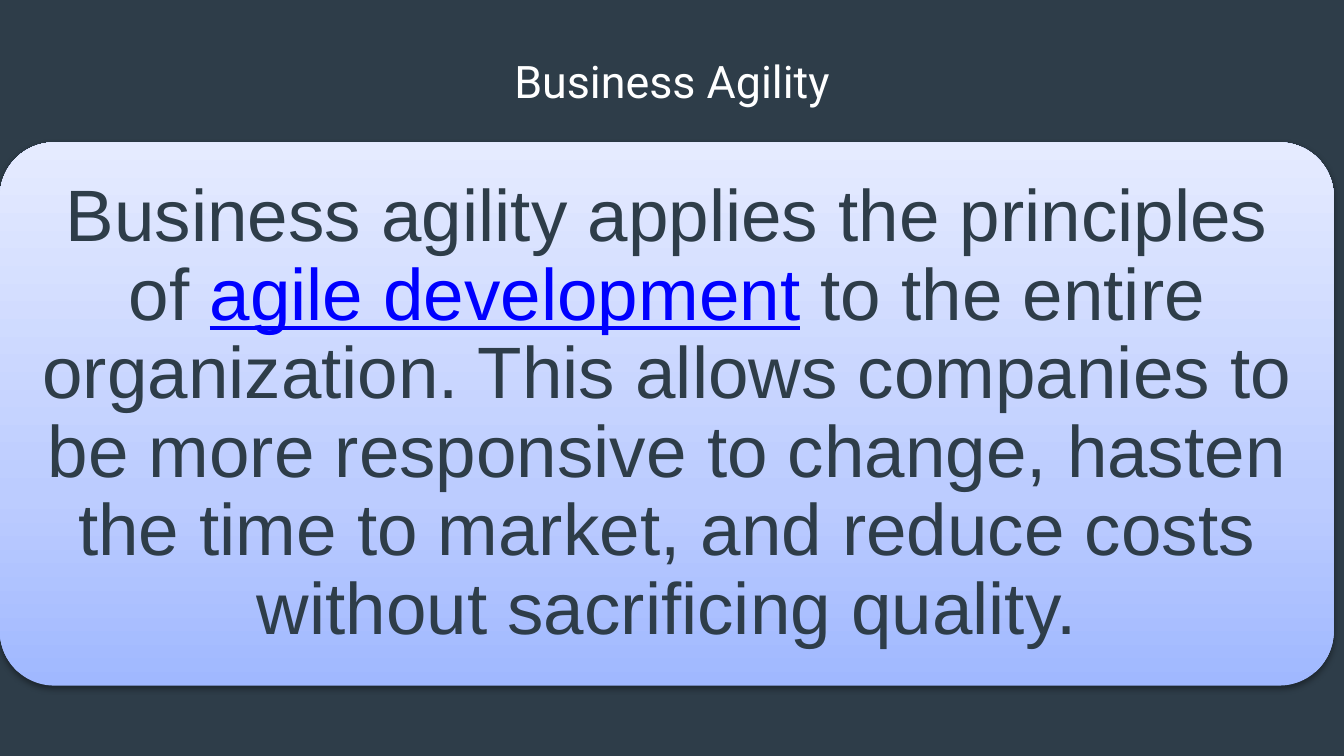
from typing import NamedTuple

import lxml.etree
import pptx
import pptx.dml.color
import pptx.enum.shapes
import pptx.enum.text
import pptx.oxml
import pptx.oxml.ns
import pptx.util

Pt = pptx.util.Pt
COLORS = {
    "navy": "2E3D49",
    "white": "FFFFFF",
    "link": "0000FF",
    "card_bottom": "A0B8FF",
    "card_middle": "BCCCFF",
    "card_top": "E5EBFF",
    "shadow": "000000",
}
GRADIENT = [(0, "card_bottom"), (35, "card_middle"), (100, "card_top")]


class Phrase(NamedTuple):
    text: str
    color: str = "navy"
    underline: bool = False


DEFINITION = [
    Phrase("Business agility applies the principles of "),
    Phrase("agile development", "link", True),
    Phrase(
        " to the entire organization. This allows companies to be more responsive "
        "to change, hasten the time to market, and reduce costs without sacrificing quality."
    ),
]


def rgb(name: str) -> pptx.dml.color.RGBColor:
    return pptx.dml.color.RGBColor.from_string(COLORS[name])


def set_margins(frame, margin: float) -> None:
    frame.margin_left = frame.margin_right = Pt(margin)
    frame.margin_top = frame.margin_bottom = Pt(margin)


def style_paragraph(paragraph, font_name: str, size: float, spacing: float) -> None:
    paragraph.alignment = pptx.enum.text.PP_ALIGN.CENTER
    paragraph.line_spacing = spacing
    paragraph.font.name = font_name
    paragraph.font.size = Pt(size)


def add_title(slide) -> None:
    title = slide.shapes.title
    title.left, title.top, title.width, title.height = Pt(36), Pt(20.16), Pt(648), Pt(46)
    frame = title.text_frame
    frame.text = "Business Agility"
    frame.vertical_anchor = pptx.enum.text.MSO_ANCHOR.TOP
    frame.auto_size = pptx.enum.text.MSO_AUTO_SIZE.NONE
    set_margins(frame, 3)
    style_paragraph(frame.paragraphs[0], "Roboto", 24, 1.2)
    frame.paragraphs[0].font.color.rgb = rgb("white")


def add_card(group) -> None:
    card = group.shapes.add_shape(
        pptx.enum.shapes.MSO_SHAPE.ROUNDED_RECTANGLE, Pt(0), Pt(76.3), Pt(714.5), Pt(291)
    )
    card.adjustments[0] = 0.1
    card.line.fill.background()
    namespace = pptx.oxml.ns.nsdecls("a")
    stops = "".join(
        f'<a:gs pos="{position * 1000}"><a:srgbClr val="{COLORS[name]}"/></a:gs>'
        for position, name in GRADIENT
    )
    gradient = pptx.oxml.parse_xml(
        f'<a:gradFill {namespace} rotWithShape="1"><a:gsLst>{stops}</a:gsLst>'
        '<a:lin ang="16200000" scaled="0"/></a:gradFill>'
    )
    shadow = pptx.oxml.parse_xml(
        f'<a:effectLst {namespace}><a:outerShdw blurRad="{Pt(3.1)}" dist="{Pt(1.6)}" '
        f'dir="5400000" rotWithShape="0"><a:srgbClr val="{COLORS["shadow"]}">'
        '<a:alpha val="38000"/></a:srgbClr></a:outerShdw></a:effectLst>'
    )
    properties = card.element.spPr
    properties.find(pptx.oxml.ns.qn("a:prstGeom")).addnext(gradient)
    properties.append(shadow)


def add_definition(group, phrases: list[Phrase]) -> None:
    definition = group.shapes.add_textbox(Pt(8.5), Pt(85), Pt(697.5), Pt(274))
    frame = definition.text_frame
    frame.word_wrap = True
    frame.vertical_anchor = pptx.enum.text.MSO_ANCHOR.MIDDLE
    set_margins(frame, 11.7)
    paragraph = frame.paragraphs[0]
    style_paragraph(paragraph, "Arial", 39, 0.9)
    for phrase in phrases:
        run = paragraph.add_run()
        run.text = phrase.text
        run.font.color.rgb = rgb(phrase.color)
        run.font.underline = phrase.underline


def main() -> None:
    presentation = pptx.Presentation()
    presentation.slide_width, presentation.slide_height = Pt(720), Pt(405)
    slide = presentation.slides.add_slide(presentation.slide_layouts[5])
    slide.background.fill.solid()
    slide.background.fill.fore_color.rgb = rgb("navy")
    add_title(slide)
    group = slide.shapes.add_group_shape()
    add_card(group)
    add_definition(group, DEFINITION)
    presentation.save("out.pptx")


if __name__ == "__main__":
    main()
